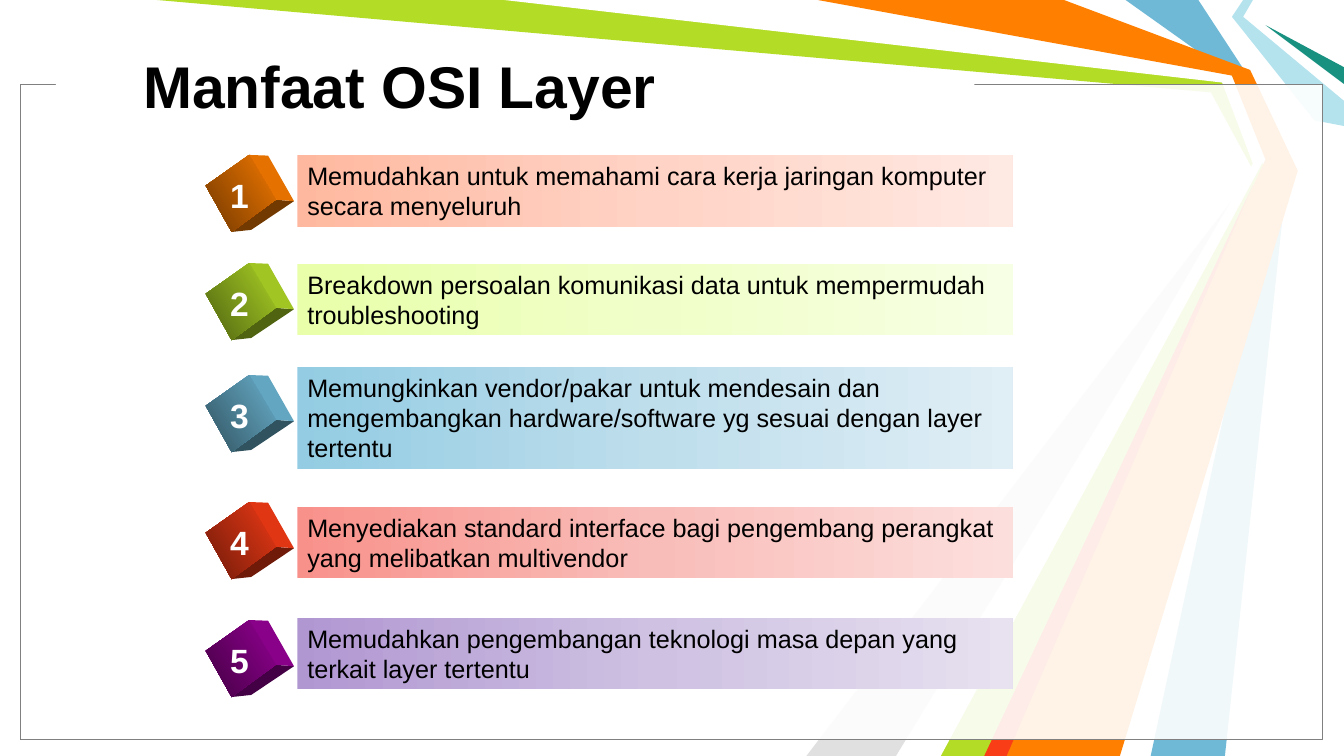
from copy import deepcopy
from dataclasses import dataclass

from lxml.etree import SubElement
from pptx import Presentation
from pptx.dml.color import RGBColor as Colour
from pptx.enum.shapes import MSO_SHAPE as Preset
from pptx.enum.text import MSO_ANCHOR as Anchor, MSO_AUTO_SIZE as AutoSize, PP_ALIGN as Align
from pptx.oxml.ns import qn
from pptx.util import Pt


@dataclass(frozen=True)
class Theme:
    font: str = "Arial"
    title_size: int = 42
    number_size: int = 24
    body_size: int = 18
    black: str = "000000"
    white: str = "FFFFFF"
    frame: str = "808080"
    blue: str = "6FB9D7"
    green: str = "B3DC27"
    grey: str = "E0E0E0"
    aqua: str = "B4E3EE"
    teal: str = "189180"
    orange: str = "FF7F00"
    red: str = "F93D17"
    purple: str = "990099"
    peach_bar: tuple = ("FFB8A0", "FFD3C5", "FFE9E3")
    lime_bar: tuple = ("E9FFAA", "F0FFC9", "F7FFE4")
    sky_bar: tuple = ("93CCE3", "BEDEEC", "E0EEF5")
    rose_bar: tuple = ("F9918B", "F9BDB9", "FCDFDD")
    lilac_bar: tuple = ("B197D2", "CEC1E2", "E7E1F0")


theme = Theme()
deck = Presentation()
deck.slide_width, deck.slide_height = Pt(960), Pt(540)
page = deck.slides.add_slide(deck.slide_layouts[5])


def add_figure(colours, box=None, points=None, angle=0):
    if box:
        figure = page.shapes.add_shape(Preset.RECTANGLE, *map(Pt, box))
    else:
        corners = [(Pt(x), Pt(y)) for x, y in points]
        builder = page.shapes.build_freeform(*corners[0])
        builder.add_line_segments(corners[1:], close=True)
        figure = builder.convert_to_shape()
    figure.shadow.inherit = False
    figure.line.fill.background()
    if len(colours) == 1:
        figure.fill.solid()
        figure.fill.fore_color.rgb = Colour.from_string(colours[0])
        return figure
    figure.fill.gradient()
    figure.fill.gradient_angle = angle
    stop_list = figure.element.spPr.find(qn("a:gradFill")).find(qn("a:gsLst"))
    while len(stop_list) < len(colours):
        stop_list.append(deepcopy(stop_list[0]))
    for index, (stop, colour) in enumerate(zip(figure.fill.gradient_stops, colours)):
        stop.position = index / (len(colours) - 1)
        stop.color.rgb = Colour.from_string(colour)
    return figure


def write(shape, text, size, colour=theme.black, bold=False, align=Align.LEFT,
          anchor=Anchor.TOP, wrap=True, fit=AutoSize.SHAPE_TO_FIT_TEXT):
    frame = shape.text_frame
    frame.word_wrap, frame.auto_size, frame.vertical_anchor = wrap, fit, anchor
    para = frame.paragraphs[0]
    para.alignment = align
    span = para.add_run()
    span.text = text
    span.font.name, span.font.size, span.font.bold = theme.font, Pt(size), bold
    span.font.color.rgb = Colour.from_string(colour)


ribbons = [
    (theme.blue, [(856, 0), (892, 55), (920, 120), (875, 540), (822, 540),
                  (912, 120), (880, 54), (804, 0)]),
    (theme.green, [(112, 0), (368, 0), (877, 56), (904, 122), (712, 540),
                   (664, 540), (897, 125), (865, 66)]),
    (theme.grey, [(640, 540), (890, 130), (576, 540)]),
    (theme.white, [(360, 0), (873, 59), (895, 117), (648, 540), (672, 540),
                   (903, 114), (880, 54), (576, 0)]),
    (theme.aqua, [(888, 0), (880, 12), (939, 86), (960, 90), (960, 72),
                  (888, 12), (895, 0)]),
    (theme.teal, [(960, 60), (904, 18), (960, 48)]),
    (theme.orange, [(584, 0), (760, 0), (893, 50), (927, 122), (800, 540),
                    (704, 540), (904, 114), (880, 54)]),
    (theme.red, [(703, 540), (895, 132), (719, 540)]),
]
for colour, points in ribbons:
    add_figure([colour], points=points)

for edge in (theme.black, theme.frame):
    veil = add_figure([theme.white], box=(15, 60.5, 930, 468))
    veil.line.color.rgb = Colour.from_string(edge)
    veil.line.width = Pt(0.75)
    veil_colour = veil.element.spPr.find(qn("a:solidFill"))[0]
    SubElement(veil_colour, qn("a:alpha"), val="69000")
add_figure([theme.white], box=(40, 53, 656, 12))

title = page.shapes.title
page.shapes.element.append(title.element)
title.left, title.top, title.width, title.height = Pt(95), Pt(16), Pt(662), Pt(90)
write(title, "Manfaat OSI Layer", theme.title_size, bold=True,
      anchor=Anchor.MIDDLE, fit=AutoSize.NONE)

front = [(147, 22), (178, 0), (197, 32), (165.5, 55)]
side = [(178, 0), (191.5, 0.5), (210, 33), (197, 32)]
base = [(165.5, 55), (197, 32), (210, 33), (179.5, 53.5)]

benefits = [
    (110.7, 110.9, 51, theme.orange, theme.peach_bar,
     "Memudahkan untuk memahami cara kerja jaringan komputer secara menyeluruh"),
    (187.9, 188.6, 51, theme.green, theme.lime_bar,
     "Breakdown persoalan komunikasi data untuk mempermudah troubleshooting"),
    (267.9, 262.1, 73, theme.blue, theme.sky_bar,
     "Memungkinkan vendor/pakar untuk mendesain dan mengembangkan "
     "hardware/software yg sesuai dengan layer tertentu"),
    (358.6, 362.2, 51, theme.red, theme.rose_bar,
     "Menyediakan standard interface bagi pengembang perangkat yang melibatkan multivendor"),
    (442.9, 441.4, 51, theme.purple, theme.lilac_bar,
     "Memudahkan pengembangan teknologi masa depan yang terkait layer tertentu"),
]
for number, (cube_top, bar_top, bar_height, colour, bar_colours, text) in enumerate(benefits, 1):
    bright, dim, dark = ["".join(f"{int(part * share):02X}" for part in Colour.from_string(colour))
                         for share in (0.95, 0.9, 0.45)]
    for face, shades in ((base, [dark]), (side, [dim]), (front, [bright, dark])):
        add_figure(shades, points=[(x, y + cube_top) for x, y in face], angle=213)
    label = page.shapes.add_textbox(Pt(157), Pt(cube_top + 10.5), Pt(28), Pt(36))
    write(label, str(number), theme.number_size, theme.white, bold=True,
          align=Align.CENTER, wrap=False)
    bar = add_figure(bar_colours, box=(212.4, bar_top, 511, bar_height))
    write(bar, text, theme.body_size)

deck.save("out.pptx")
